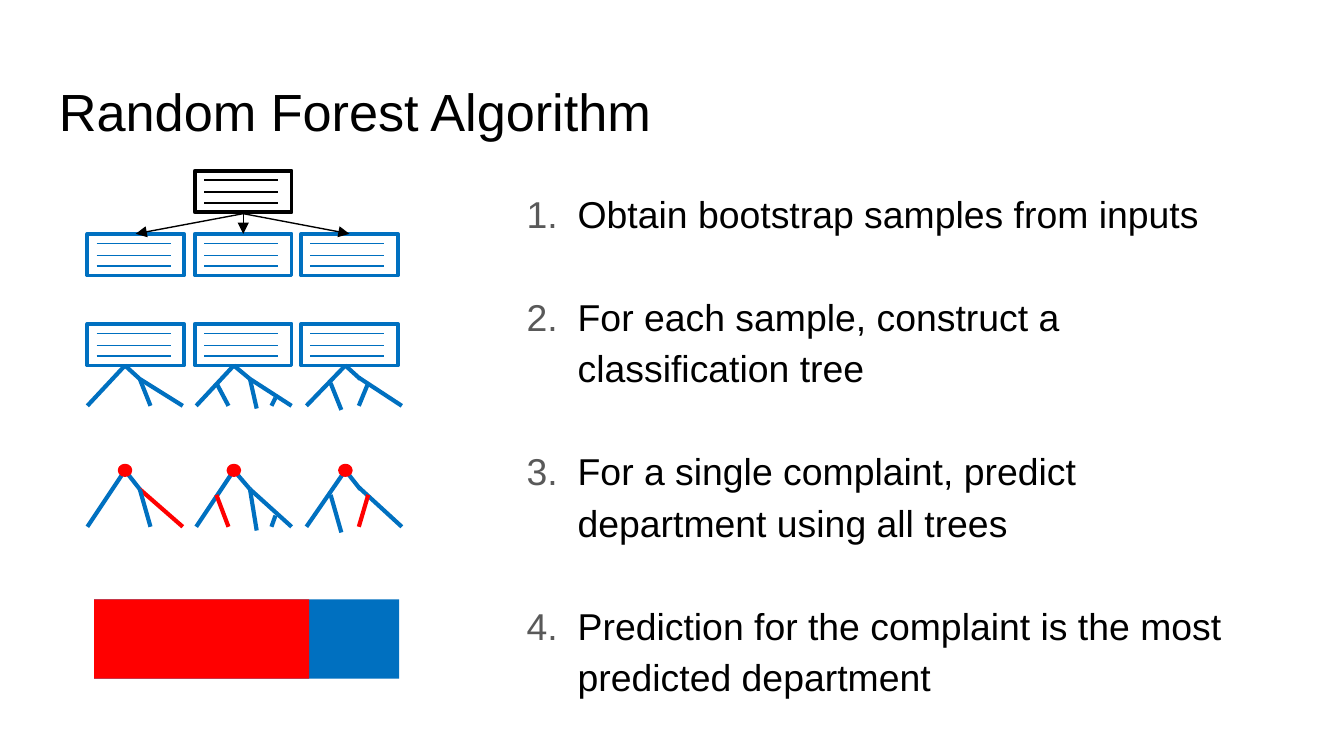
from pptx import Presentation
from pptx.util import Inches, Pt
from pptx.dml.color import RGBColor
from pptx.enum import shapes, text
from pptx.oxml.ns import qn
from lxml import etree

BLACK, BLUE, RED, GREY = "000000", "0070C0", "FF0000", "595959"
TITLE = "Random Forest Algorithm"
STEPS = [
    "Obtain bootstrap samples from inputs",
    "For each sample, construct a classification tree",
    "For a single complaint, predict department using all trees",
    "Prediction for the complaint is the most predicted department",
]
COLS = [0.65, 1.45, 2.24]
ROWS = [1.74, 2.41]
WIDE, HIGH = 0.72, 0.31
ROOTS = [0.93, 1.74, 2.57]
TREES = [
    [(0, 0, 0.11, 0.1), (0, 0, -0.28, 0.3), (0.43, 0.3, 0.11, 0.1),
     (0.19, 0.3, 0.11, 0.1)],
    [(0, 0, 0.12, 0.1), (0, 0, -0.28, 0.3), (0.43, 0.3, 0.12, 0.1),
     (-0.04, 0.3, -0.13, 0.13), (0.17, 0.32, 0.12, 0.1),
     (0.28, 0.3, 0.31, 0.24)],
    [(0, 0, 0.11, 0.1), (0, 0, -0.29, 0.3), (0.42, 0.3, 0.1, 0.09),
     (-0.03, 0.33, -0.11, 0.13), (0.1, 0.3, 0.17, 0.13)],
]
VOTES = [2, 3, 4]
DOT_W, DOT_H = 0.08, 0.07

deck = Presentation()
deck.slide_width, deck.slide_height = Inches(10), Inches(10 * 9 / 16)
slide = deck.slides.add_slide(deck.slide_layouts[6])
parts = slide.shapes
KIND = shapes.MSO_SHAPE


def rgb(code):
    return RGBColor.from_string(code)


def line(x1, y1, x2, y2, color, width, arrow=False):
    item = parts.add_connector(shapes.MSO_CONNECTOR.STRAIGHT,
                               *map(Inches, (x1, y1, x2, y2)))
    item.line.color.rgb = rgb(color)
    item.line.width = Pt(width)
    if arrow:
        etree.SubElement(item.line._get_or_add_ln(), qn("a:tailEnd"),
                         type="triangle")
    etree.SubElement(item._element.spPr, qn("a:effectLst"))


def shape(kind, x, y, w, h, fill=None, edge=None):
    item = parts.add_shape(kind, *map(Inches, (x, y, w, h)))
    item.shadow.inherit = False
    if fill:
        item.fill.solid()
        item.fill.fore_color.rgb = rgb(fill)
    else:
        item.fill.background()
    if edge:
        item.line.color.rgb = rgb(edge)
        item.line.width = Pt(2)
    else:
        item.line.fill.background()


def sample(x, y, color):
    shape(KIND.RECTANGLE, x, y, WIDE, HIGH, edge=color)
    for dy in (0.07, 0.16, 0.24):
        line(x + 0.07, y + dy, x + 0.62, y + dy, color, 0.75)


def tree(x, y, twigs, scale=1, vote=None):
    for i, (x1, y1, x2, y2) in enumerate(twigs):
        line(x + x1, y + y1 * scale, x + x2, y + y2 * scale,
             RED if i == vote else BLUE, 2.25)


def write(x, y, w, h, lines, size):
    frame = parts.add_textbox(*map(Inches, (x, y, w, h))).text_frame
    frame.word_wrap = True
    frame.vertical_anchor = text.MSO_ANCHOR.TOP
    frame.margin_left = frame.margin_right = Inches(0.1)
    frame.margin_top = frame.margin_bottom = Inches(0.1)
    frame.text = "\n".join(lines)
    for para in frame.paragraphs:
        font = para.runs[0].font
        font.name, font.size = "Arial", Pt(size)
        font.color.rgb = rgb(BLACK)
    return frame.paragraphs


def number(para):
    para.line_spacing = para.space_after = Pt(27.6)
    props = para._p.get_or_add_pPr()
    props.set("marL", str(Inches(0.38)))
    props.set("indent", str(-Inches(0.38)))
    tint = etree.SubElement(props, qn("a:buClr"))
    etree.SubElement(tint, qn("a:srgbClr"), val=GREY)
    etree.SubElement(props, qn("a:buFont"), typeface="Arial")
    etree.SubElement(props, qn("a:buAutoNum"), type="arabicPeriod")


write(0.34, 0.49, 9.32, 0.63, [TITLE], 28)
for para in write(3.82, 1.27, 5.53, 3.74, STEPS, 20):
    number(para)

sample(COLS[1], 1.27, BLACK)
for y in ROWS:
    for x in COLS:
        sample(x, y, BLUE)
mid = COLS[1] + WIDE / 2
for x in COLS:
    line(mid, 1.59, x + WIDE / 2, ROWS[0], BLACK, 0.75, True)

for x, twigs, vote in zip(ROOTS, TREES, VOTES):
    tree(x, ROWS[1] + HIGH, twigs)
    tree(x, 3.5, twigs, 1.4, vote)
    shape(KIND.OVAL, x - DOT_W / 2, 3.5 - DOT_H / 2, DOT_W, DOT_H, RED, RED)

for w, color in ((2.27, BLUE), (1.6, RED)):
    shape(KIND.RECTANGLE, 0.7, 4.46, w, 0.59, color)

deck.save("out.pptx")
